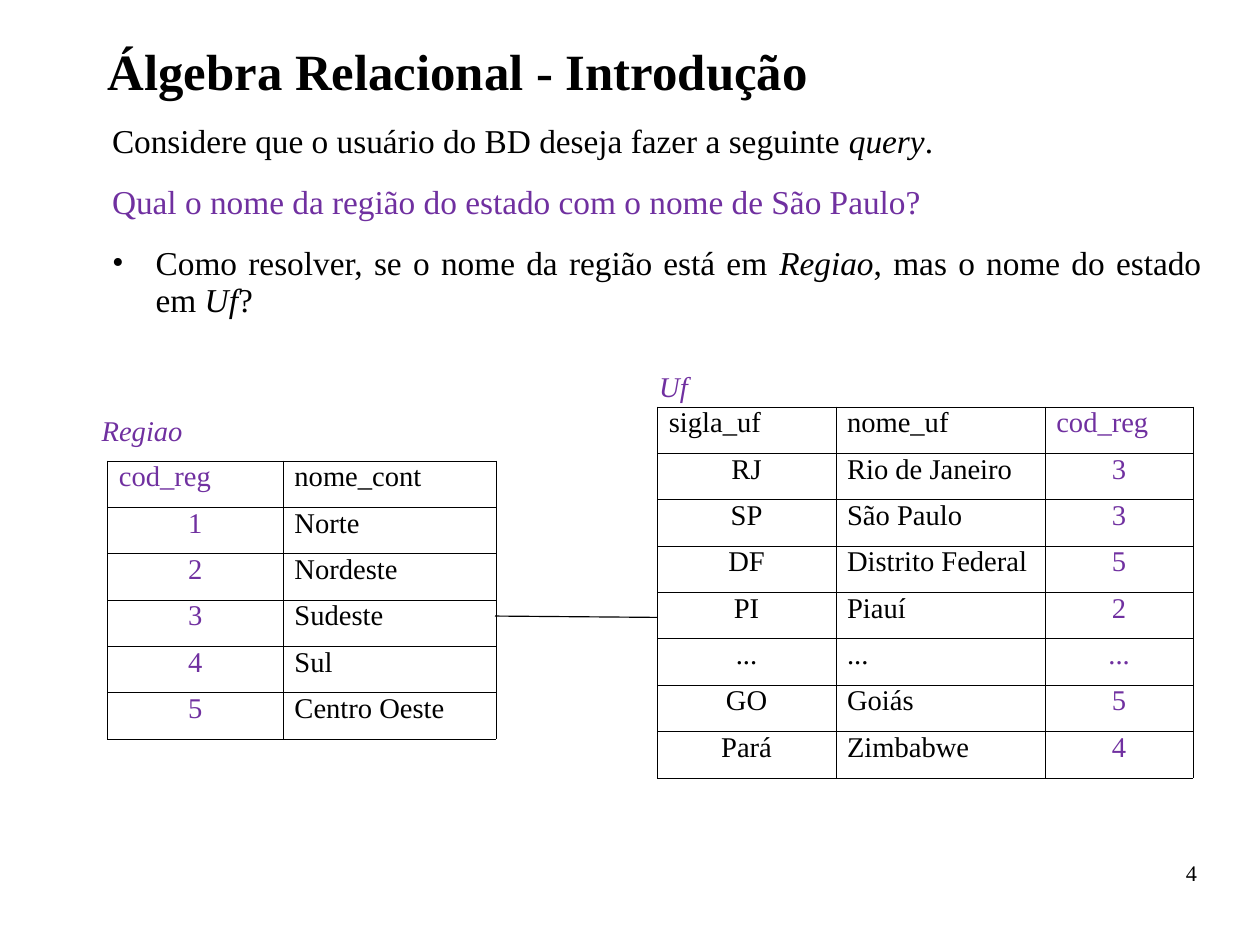
from lxml import etree
from pptx import Presentation
from pptx.dml.color import RGBColor
from pptx.enum.shapes import MSO_CONNECTOR
from pptx.enum.text import MSO_ANCHOR, MSO_AUTO_SIZE, PP_ALIGN
from pptx.oxml.ns import qn
from pptx.util import Cm, Pt

BLACK = RGBColor(0x00, 0x00, 0x00)
PURPLE = RGBColor(0x70, 0x30, 0xA0)
LEFT, CENTER, RIGHT, JUSTIFY = PP_ALIGN.LEFT, PP_ALIGN.CENTER, PP_ALIGN.RIGHT, PP_ALIGN.JUSTIFY
TOP = MSO_ANCHOR.TOP
NO_FIT, GROW = MSO_AUTO_SIZE.NONE, MSO_AUTO_SIZE.SHAPE_TO_FIT_TEXT
STRAIGHT = MSO_CONNECTOR.STRAIGHT

REGIAO_ROWS = [
    ("cod_reg", "nome_cont"),
    ("1", "Norte"),
    ("2", "Nordeste"),
    ("3", "Sudeste"),
    ("4", "Sul"),
    ("5", "Centro Oeste"),
]
UF_ROWS = [
    ("sigla_uf", "nome_uf", "cod_reg"),
    ("RJ", "Rio de Janeiro", "3"),
    ("SP", "São Paulo", "3"),
    ("DF", "Distrito Federal", "5"),
    ("PI", "Piauí", "2"),
    ("...", "...", "..."),
    ("GO", "Goiás", "5"),
    ("Pará", "Zimbabwe", "4"),
]
QUESTIONS = [
    ([("Considere que o usuário do BD deseja fazer a seguinte ", False),
      ("query", True), (".", False)], BLACK, False),
    ([("Qual o nome da região do estado com o nome de São Paulo?", False)], PURPLE, False),
    ([("Como resolver, se o nome da região está em ", False), ("Regiao", True),
      (", mas o nome do estado em ", False), ("Uf", True), ("?", False)], BLACK, True),
]


def apply(target, values):
    for name, value in values.items():
        setattr(target, name, value)


class SlideBuilder:
    font_name = "Times New Roman"
    row_height = Cm(1.03)
    border_width = Pt(0.06)
    hanging = Cm(0.97)

    def __init__(self, presentation):
        self.slide = presentation.slides.add_slide(presentation.slide_layouts[5])

    def place(self, shape, box):
        apply(shape, dict(zip(("left", "top", "width", "height"), map(Cm, box))))

    def frame(self, text_frame, side=0, edge=0, fit=NO_FIT):
        apply(text_frame, {
            "margin_left": Cm(side), "margin_right": Cm(side),
            "margin_top": Cm(edge), "margin_bottom": Cm(edge),
            "vertical_anchor": TOP, "word_wrap": True, "auto_size": fit,
        })

    def fill_paragraph(self, paragraph, runs, size, color=BLACK, bold=False, **layout):
        apply(paragraph, {"alignment": LEFT, "space_before": Pt(0),
                          "space_after": Pt(0.4), **layout})
        for text, italic in runs:
            run = paragraph.add_run()
            run.text = text
            apply(run.font, {"name": self.font_name, "size": Pt(size),
                             "bold": bold, "italic": italic})
            run.font.color.rgb = color

    def title(self, text, box):
        shape = self.slide.shapes.title
        self.place(shape, box)
        self.frame(shape.text_frame)
        self.fill_paragraph(shape.text_frame.paragraphs[0], [(text, False)], 32,
                            bold=True, line_spacing=0.93)

    def textbox(self, box, **frame):
        shape = self.slide.shapes.add_textbox(*map(Cm, box))
        self.frame(shape.text_frame, **frame)
        return shape.text_frame

    def body(self, box, items):
        text_frame = self.textbox(box)
        text_frame.margin_top = Cm(0.05)
        for index, (runs, color, bulleted) in enumerate(items):
            paragraph = text_frame.add_paragraph() if index else text_frame.paragraphs[0]
            self.hang(paragraph, bulleted)
            self.fill_paragraph(paragraph, runs, 21, color, alignment=JUSTIFY,
                                line_spacing=0.93, space_after=Pt(14.6),
                                space_before=Pt(0.4 if index else 0))

    def hang(self, paragraph, bulleted):
        properties = paragraph._p.get_or_add_pPr()
        properties.set("marL", str(self.hanging))
        properties.set("indent", str(-self.hanging))
        if bulleted:
            color = etree.SubElement(properties, qn("a:buClr"))
            etree.SubElement(color, qn("a:srgbClr"), val=str(BLACK))
            etree.SubElement(properties, qn("a:buFont"), typeface=self.font_name)
            etree.SubElement(properties, qn("a:buChar"), char="•")
        else:
            etree.SubElement(properties, qn("a:buNone"))

    def label(self, text, left, top):
        text_frame = self.textbox((left, top, 4.39, 1.02), side=0.25, edge=0.13, fit=GROW)
        self.fill_paragraph(text_frame.paragraphs[0], [(text, True)], 18, PURPLE)

    def number(self, text, box):
        text_frame = self.textbox(box)
        self.fill_paragraph(text_frame.paragraphs[0], [(text, False)], 14,
                            alignment=RIGHT, line_spacing=0.95)

    def table(self, left, top, widths, rows):
        frame = self.slide.shapes.add_table(
            len(rows), len(widths), Cm(left), Cm(top),
            Cm(sum(widths)), self.row_height * len(rows))
        table = frame.table
        apply(table, {"first_row": False, "horz_banding": False})
        for column, width in zip(table.columns, widths):
            column.width = Cm(width)
        for row_index, row in enumerate(rows):
            table.rows[row_index].height = self.row_height
            for column_index, text in enumerate(row):
                is_name = rows[0][column_index].startswith("nome")
                is_key = rows[0][column_index] == "cod_reg"
                cell = table.cell(row_index, column_index)
                cell.fill.background()
                self.borders(cell)
                self.fill_paragraph(cell.text_frame.paragraphs[0], [(text, False)], 18,
                                    PURPLE if is_key else BLACK, line_spacing=0.8,
                                    alignment=CENTER if row_index and not is_name else LEFT)

    def borders(self, cell):
        properties = cell._tc.get_or_add_tcPr()
        for index, side in enumerate(("a:lnL", "a:lnR", "a:lnT", "a:lnB")):
            line = etree.SubElement(properties, qn(side), w=str(self.border_width))
            fill = etree.SubElement(line, qn("a:solidFill"))
            etree.SubElement(fill, qn("a:srgbClr"), val=str(BLACK))
            properties.insert(index, line)

    def link(self, *ends):
        connector = self.slide.shapes.add_connector(STRAIGHT, *map(Cm, ends))
        connector.line.width = Pt(0.75)
        connector.line.color.rgb = BLACK
        etree.SubElement(connector._element.spPr, qn("a:effectLst"))


def main():
    presentation = Presentation()
    apply(presentation, {"slide_width": Cm(28), "slide_height": Cm(21)})
    builder = SlideBuilder(presentation)
    builder.title("Álgebra Relacional - Introdução", (2.39, 1, 24.21, 1.7))
    builder.body((2.49, 2.69, 24.21, 15.19), QUESTIONS)
    builder.number("4", (20.07, 19.13, 6.53, 1.45))
    builder.table(2.39, 10.24, (3.9, 4.73), REGIAO_ROWS)
    builder.label("Regiao", 2.01, 9.04)
    builder.table(14.61, 9.04, (3.96, 4.65, 3.3), UF_ROWS)
    builder.link(11, 13.69, 14.61, 13.72)
    builder.label("Uf", 14.4, 8.08)
    presentation.save("out.pptx")


if __name__ == "__main__":
    main()
